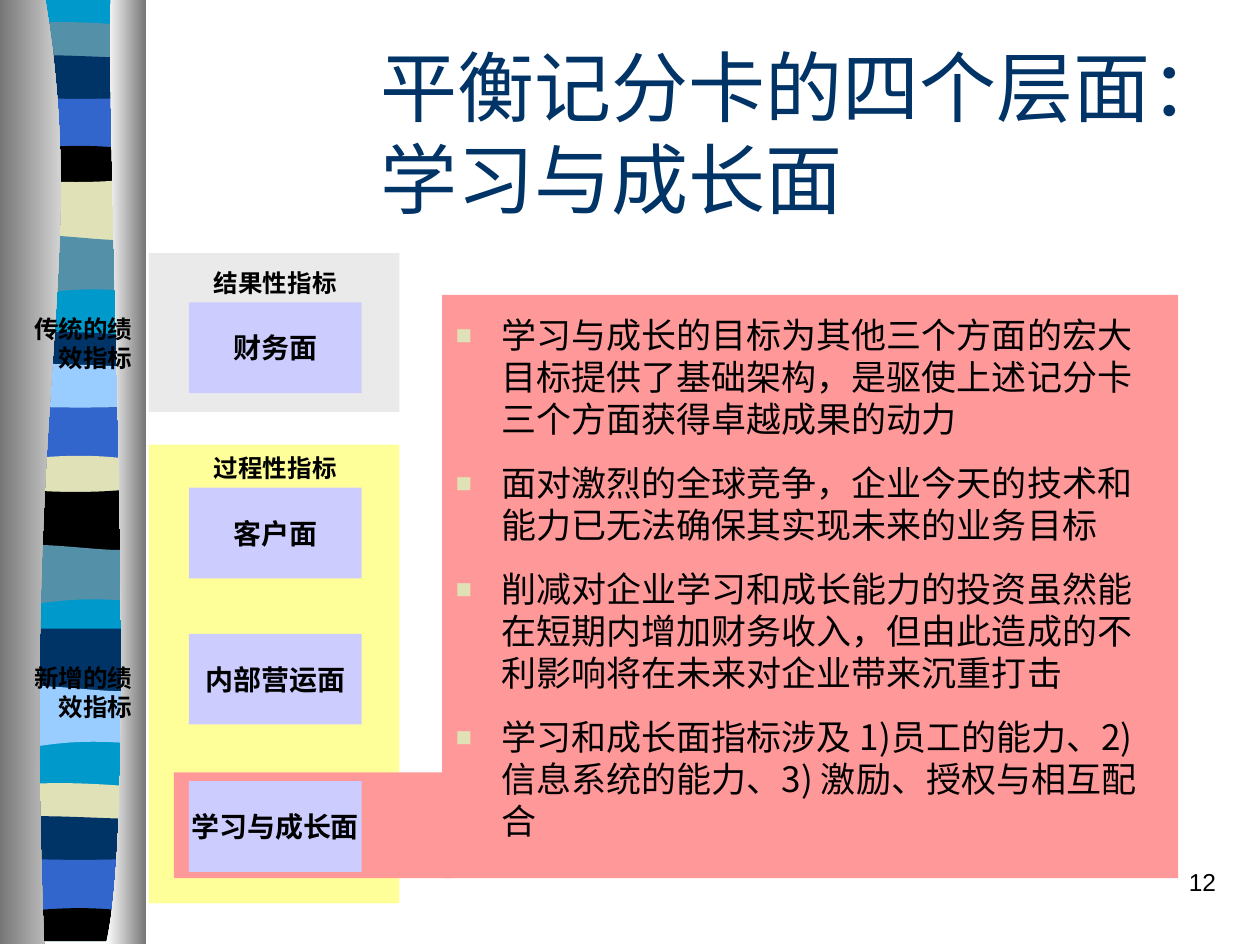
from dataclasses import dataclass

from lxml.etree import SubElement
from pptx import Presentation
from pptx.dml.color import RGBColor
from pptx.enum.shapes import MSO_SHAPE as Preset
from pptx.enum.text import MSO_ANCHOR as Anchor, PP_ALIGN as Align
from pptx.oxml.ns import qn
from pptx.util import Inches, Pt

Point = tuple[float, float]
Segment = list[Point]

COLORS = {
    "cyan": "0099CC", "steel": "5490A8", "navy": "003366", "blue": "3366CC",
    "black": "000000", "sand": "E1E1B7", "sky": "99CCFF", "gray": "767676",
    "white": "FFFFFF", "yellow": "FFFF99", "pink": "FF9999", "silver": "EAEAEA",
    "lilac": "CCCCFF",
}
COLUMNS, ROWS = 100, 75
CJK = "Noto Sans CJK SC"
RIBBON_LEFT, RIBBON_RIGHT, RIBBON_BOTTOM = 0.6, 11.4, 74.7
BASE_COLOR, OVERLAP = "cyan", 0.9

WAVES = {
    "flat": ((4, 0), (8, 0)),
    "crest": ((3, -0.6), (8, -0.3)),
    "lean": ((2.1, -0.5), (7.9, 0)),
    "dip": ((4, 0.2), (9, 0.2)),
    "hump": ((3.8, -0.7), (9, -0.7)),
    "bulge": ((2.4, 0.6), (9.6, 0.6)),
    "ripple": ((3.9, -0.6), (9.6, 0.8)),
    "swirl": ((2.4, 0.8), (3.9, -0.8)),
}


@dataclass(frozen=True)
class Box:
    col: float
    row: float
    cols: float
    rows: float


@dataclass(frozen=True)
class Band:
    color: str
    row: float
    wave: str


@dataclass(frozen=True)
class Style:
    size: float
    color: str = "black"
    font: str = CJK
    bold: bool = False
    align: Align = Align.LEFT
    anchor: Anchor = Anchor.MIDDLE
    wrap: bool = True
    leading: float = 1.2
    gap: float = 0


BANDS = [
    Band("steel", 2.1, "crest"), Band("navy", 4.6, "lean"), Band("blue", 7.7, "dip"),
    Band("black", 12.1, "hump"), Band("sand", 14, "bulge"), Band("steel", 18.8, "ripple"),
    Band("cyan", 23.2, "swirl"), Band("navy", 26.7, "crest"), Band("sky", 29.1, "lean"),
    Band("blue", 32.2, "dip"), Band("sand", 36.7, "hump"), Band("black", 38.6, "bulge"),
    Band("steel", 43.4, "ripple"), Band("cyan", 47.8, "swirl"), Band("navy", 49.9, "flat"),
    Band("sky", 54.6, "ripple"), Band("cyan", 59.1, "swirl"), Band("sand", 62.5, "crest"),
    Band("navy", 65, "lean"), Band("blue", 68.1, "dip"), Band("black", 72.6, "hump"),
]
PANELS = [
    ("yellow", Box(11.8, 35.3, 19.9, 36.4)),
    ("pink", Box(13.8, 61.3, 22.2, 8.4)),
    ("pink", Box(35.1, 23.4, 58.4, 46.3)),
    ("silver", Box(11.8, 20.1, 19.9, 12.6)),
]
HEADINGS = {"结果性指标": 20.7, "过程性指标": 35.4}
CARDS = {"财务面": 24, "客户面": 38.7, "内部营运面": 50.3, "学习与成长面": 62}
SIDE_LABELS = {"传统的绩效指标": 24.4, "新增的绩效指标": 52.1}
POINTS = [
    "学习与成长的目标为其他三个方面的宏大目标提供了基础架构，是驱使上述记分卡三个方面获得卓越成果的动力",
    "面对激烈的全球竞争，企业今天的技术和能力已无法确保其实现未来的业务目标",
    "削减对企业学习和成长能力的投资虽然能在短期内增加财务收入，但由此造成的不利影响将在未来对企业带来沉重打击",
    "学习和成长面指标涉及 1)员工的能力、2) 信息系统的能力、3) 激励、授权与相互配合",
]

deck = Presentation()
deck.slide_width, deck.slide_height = Inches(10), Inches(7.5)
CELL_W, CELL_H = deck.slide_width / COLUMNS, deck.slide_height / ROWS
slide = deck.slides.add_slide(deck.slide_layouts[5])
shapes = slide.shapes


def rgb(name: str) -> RGBColor:
    return RGBColor.from_string(COLORS[name])


def area(box: Box) -> tuple[int, ...]:
    return (round(box.col * CELL_W), round(box.row * CELL_H),
            round(box.cols * CELL_W), round(box.rows * CELL_H))


def outline(start: Point, segments: list[Segment]):
    scaled = [(round(x * CELL_W), round(y * CELL_H))
              for x, y in [start] + sum(segments, [])]
    builder = shapes.build_freeform(*scaled[0])
    builder.add_line_segments(scaled[1:], close=True)
    shape = builder.convert_to_shape()
    lines = iter(list(shape._element.iter(qn("a:lnTo"))))
    for segment in segments:
        first, *others = [next(lines) for _ in segment]
        if others:
            first.tag = qn("a:cubicBezTo")
            for other in others:
                first.append(other[0])
                other.getparent().remove(other)
    shape.shadow.inherit = False
    shape.line.fill.background()
    return shape


def draw_band(band: Band, below: Band) -> None:
    left, right = (RIBBON_LEFT, band.row), (RIBBON_RIGHT, band.row)
    top = [(x, band.row + rise) for x, rise in WAVES[band.wave]] + [right]
    if below.color == BASE_COLOR:
        wave = [(x, below.row + rise) for x, rise in reversed(WAVES[below.wave])]
        bottom = [[(RIBBON_RIGHT, below.row)], wave + [(RIBBON_LEFT, below.row)]]
    else:
        floor = min(below.row + OVERLAP, RIBBON_BOTTOM)
        bottom = [[(RIBBON_RIGHT, floor)], [(RIBBON_LEFT, floor)]]
    shape = outline(left, [top] + bottom)
    shape.fill.solid()
    shape.fill.fore_color.rgb = rgb(band.color)


def draw_pipe(start: Point, curve: Segment, side: float, shades: tuple[str, str]) -> None:
    shape = outline(start, [curve, [(side, 74.9)], [(side, 0)]])
    shape.fill.gradient()
    shape.fill.gradient_angle = 0
    for stop, shade in zip(shape.fill.gradient_stops, shades):
        stop.color.rgb = rgb(shade)


def draw_panel(color: str, box: Box):
    shape = shapes.add_shape(Preset.RECTANGLE, *area(box))
    shape.shadow.inherit = False
    shape.fill.solid()
    shape.fill.fore_color.rgb = rgb(color)
    shape.line.fill.background()
    return shape


def add_bullet(paragraph) -> None:
    props = paragraph._p.get_or_add_pPr()
    props.set("marL", str(Inches(0.37)))
    props.set("indent", str(-Inches(0.37)))
    SubElement(SubElement(props, qn("a:buClr")), qn("a:srgbClr"), val=COLORS["sand"])
    SubElement(props, qn("a:buSzPct"), val="150000")
    SubElement(props, qn("a:buFont"), typeface="Arial")
    SubElement(props, qn("a:buChar"), char="▪")


def write(shape, text: str, style: Style, bulleted: bool = False) -> None:
    frame = shape.text_frame
    frame.text = text
    frame.word_wrap = style.wrap
    frame.vertical_anchor = style.anchor
    for index, paragraph in enumerate(frame.paragraphs):
        if bulleted:
            add_bullet(paragraph)
        paragraph.alignment = style.align
        paragraph.line_spacing = Pt(style.size * style.leading)
        paragraph.space_before = Pt(style.gap if index else 0)
        for run in paragraph.runs:
            run.font.name, run.font.size = style.font, Pt(style.size)
            run.font.bold = style.bold
            run.font.color.rgb = rgb(style.color)
            SubElement(run._r.get_or_add_rPr(), qn("a:ea"), typeface=CJK)


def label(text: str, box: Box, style: Style) -> None:
    write(shapes.add_textbox(*area(box)), text, style)


title = shapes.title
title.left, title.top, title.width, title.height = area(Box(29.2, 4.2, 70.8, 12.5))
write(title, "平衡记分卡的四个层面：学习与成长面", Style(44, "navy", "Times New Roman"))

draw_panel(BASE_COLOR, Box(RIBBON_LEFT, 0, RIBBON_RIGHT - RIBBON_LEFT, RIBBON_BOTTOM))
for band, below in zip(BANDS, BANDS[1:] + [Band("white", RIBBON_BOTTOM, "flat")]):
    if band.color != BASE_COLOR:
        draw_band(band, below)
draw_pipe((3.6, 0), [(7.1, 21.6), (1.7, 29.6), (3.5, 74.9)], 0, ("gray", "white"))
draw_pipe((8.8, 0), [(8.4, 12.5), (11.1, 64.6), (8.4, 74.9)], 11.6, ("white", "gray"))

_, _, message, _ = [draw_panel(color, box) for color, box in PANELS]
message.text_frame.margin_top = Inches(0.15)
write(message, "\n".join(POINTS), Style(20, anchor=Anchor.TOP, gap=12.5), bulleted=True)

for heading, row in HEADINGS.items():
    label(heading, Box(15, row, 13.7, 3.4), Style(14, bold=True, align=Align.CENTER))
for card, row in CARDS.items():
    write(draw_panel("lilac", Box(15, row, 13.7, 7.2)), card,
          Style(16, bold=True, align=Align.CENTER, wrap=False))
for side_label, row in SIDE_LABELS.items():
    label(side_label, Box(1.5, row, 10, 5.7), Style(14, bold=True, align=Align.RIGHT))
label("12", Box(76.7, 68.3, 20.8, 5), Style(14, font="Arial", align=Align.RIGHT, anchor=Anchor.TOP))

deck.save("out.pptx")
